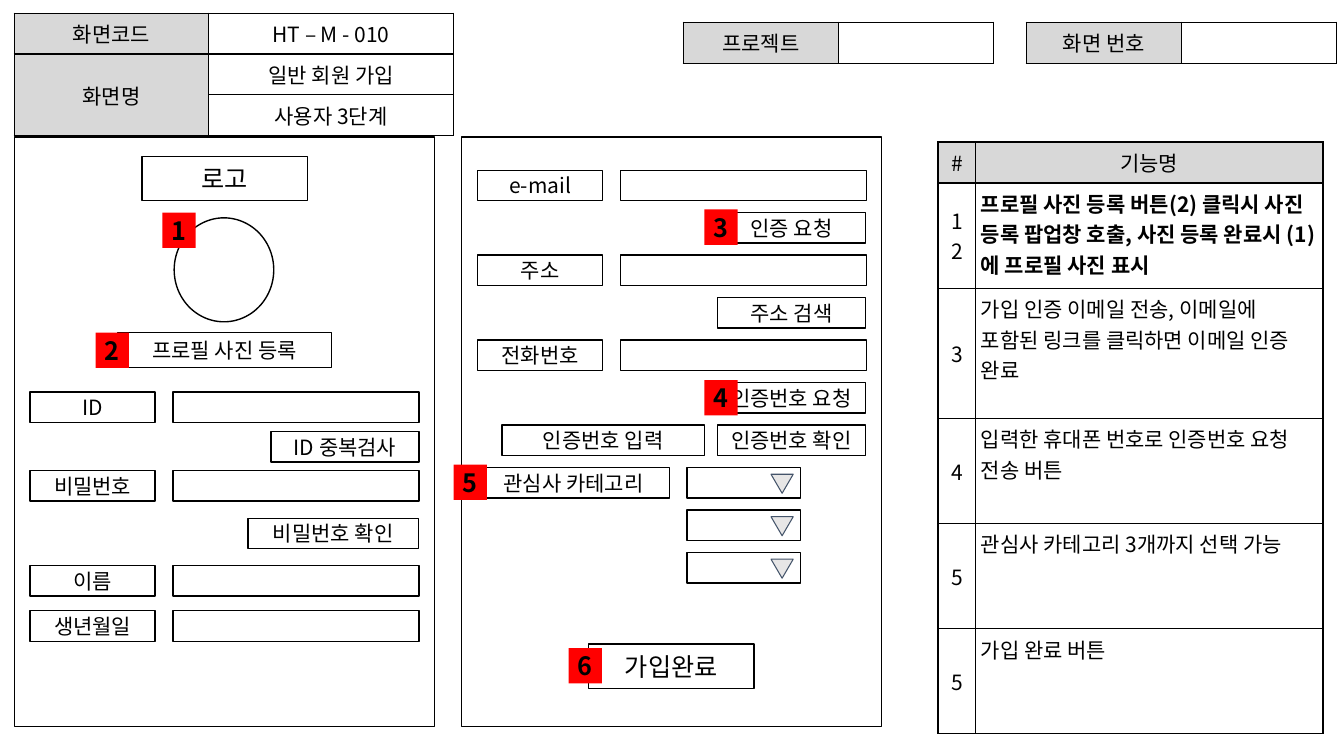
from lxml import etree
from pptx import Presentation
from pptx.dml.color import RGBColor
from pptx.enum import shapes, text
from pptx.oxml import ns
from pptx.util import Cm, Pt

BLACK = RGBColor(0x00, 0x00, 0x00)
WHITE = RGBColor(0xFF, 0xFF, 0xFF)
RED = RGBColor(0xFF, 0x00, 0x00)
HEADER = RGBColor(0xD8, 0xD8, 0xD8)
ARROW_FILL = RGBColor(0xE7, 0xE6, 0xE6)
ARROW_LINE = RGBColor(0x44, 0x54, 0x6A)
FONT = "Noto Sans CJK KR"
INSET = Cm(0.13)
FIELD_H = 0.77  # height of fields and small buttons, in cm
SHAPE = shapes.MSO_SHAPE
CENTER, LEFT = text.PP_ALIGN.CENTER, text.PP_ALIGN.LEFT
MIDDLE, TOP = text.MSO_ANCHOR.MIDDLE, text.MSO_ANCHOR.TOP


def write(tf, content, size=15, bold=False, align=CENTER):
    tf.word_wrap = True
    tf.text = content
    for p in tf.paragraphs:
        p.alignment = align
        p.font.size = Pt(size)
        p.font.bold = bold
        p.font.name = FONT
        p.font.color.rgb = BLACK
        props = p._p.pPr.find(ns.qn("a:defRPr"))
        etree.SubElement(props, ns.qn("a:ea"), typeface=FONT)


def add_box(slide, x, y, w, h=FIELD_H, label="", size=15, bold=False,
            kind=SHAPE.RECTANGLE, fill=WHITE, line=BLACK, weight=1):
    sp = slide.shapes.add_shape(kind, Cm(x), Cm(y), Cm(w), Cm(h))
    sp.shadow.inherit = False
    sp.fill.solid()
    sp.fill.fore_color.rgb = fill
    if line is None:
        sp.line.fill.background()
    else:
        sp.line.color.rgb = line
        sp.line.width = Pt(weight)
    if label:
        tf = sp.text_frame
        tf.margin_left = tf.margin_right = tf.margin_top = tf.margin_bottom = 0
        tf.vertical_anchor = MIDDLE
        write(tf, label, size, bold)
    return sp


def add_field(slide, x, y, label):
    add_box(slide, x, y, 3.15, label=label)
    add_box(slide, x + 3.6, y, 6.2)


def add_dropdown(slide, x, y):
    add_box(slide, x, y, 2.87)
    arrow = add_box(slide, 19.43, y + 0.17, 0.56, 0.48, kind=SHAPE.ISOSCELES_TRIANGLE,
                    fill=ARROW_FILL, line=ARROW_LINE, weight=0.75)
    arrow.rotation = 180


def add_badge(slide, x, y, number):
    add_box(slide, x, y, 0.84, 0.89, number, 18, True, fill=RED, line=None)


def set_borders(cell):
    tc_pr = cell._tc.get_or_add_tcPr()
    for i, side in enumerate(("lnL", "lnR", "lnT", "lnB")):
        ln = etree.Element(ns.qn("a:" + side), w=str(Pt(1)))
        fill = etree.SubElement(ln, ns.qn("a:solidFill"))
        etree.SubElement(fill, ns.qn("a:srgbClr"), val=str(BLACK))
        tc_pr.insert(i, ln)


def format_cell(cell, content, fill, bold=False, align=CENTER, anchor=MIDDLE):
    cell.margin_left = cell.margin_right = INSET
    cell.margin_top = cell.margin_bottom = INSET
    cell.vertical_anchor = anchor
    cell.fill.solid()
    cell.fill.fore_color.rgb = fill
    set_borders(cell)
    if content:
        write(cell.text_frame, content, bold=bold, align=align)


def add_grid(slide, x, y, widths, heights):
    table = slide.shapes.add_table(len(heights), len(widths), Cm(x), Cm(y),
                                   Cm(sum(widths)), Cm(sum(heights))).table
    table.first_row = table.horz_banding = False
    for column, width in zip(table.columns, widths):
        column.width = Cm(width)
    for row, height in zip(table.rows, heights):
        row.height = Cm(height)
    return table


def add_info_table(slide, x, y, widths, rows):
    """Grey label column beside a white value column."""
    table = add_grid(slide, x, y, widths, [1.03] * len(rows))
    for r, (label, value) in enumerate(rows):
        format_cell(table.cell(r, 0), label, HEADER)
        format_cell(table.cell(r, 1), value, WHITE)
    return table


def add_function_table(slide):
    rows = [
        ("1\n2", "프로필 사진 등록 버튼(2) 클릭시 사진 등록 팝업창 호출, 사진 등록 완료시 (1)에 프로필 사진 표시"),
        ("3", "가입 인증 이메일 전송, 이메일에 포함된 링크를 클릭하면 이메일 인증 완료"),
        ("4", "입력한 휴대폰 번호로 인증번호 요청 전송 버튼"),
        ("5", "관심사 카테고리 3개까지 선택 가능"),
        ("5", "가입 완료 버튼"),
    ]
    table = add_grid(slide, 23.64, 3.58, [0.95, 8.75], [1.03, 2.65, 3.28, 2.65, 2.65, 2.65])
    for c, heading in enumerate(("#", "기능명")):
        format_cell(table.cell(0, c), heading, HEADER)
    for r, (number, description) in enumerate(rows, 1):
        format_cell(table.cell(r, 0), number, WHITE)
        format_cell(table.cell(r, 1), description, WHITE, r == 1, LEFT, TOP)


def add_profile_screen(slide):
    add_box(slide, 0.36, 3.45, 10.59, 14.86)
    add_box(slide, 3.58, 3.94, 4.17, 1.12, "로고", 18)
    add_box(slide, 2.97, 8.38, 5.38, 0.89, "프로필 사진 등록")
    add_box(slide, 4.39, 5.49, 2.51, 2.62, kind=SHAPE.OVAL)
    for y, label in ((9.88, "ID"), (11.86, "비밀번호"), (14.25, "이름"), (15.39, "생년월일")):
        add_field(slide, 0.76, y, label)
    add_box(slide, 6.83, 10.87, 3.73, label="ID 중복검사")
    add_box(slide, 6.25, 13.06, 4.3, label="비밀번호 확인")


def add_contact_screen(slide):
    add_box(slide, 11.63, 3.45, 10.59, 14.86)
    line_y = [4.29 + 1.07 * i for i in range(10)]
    for y, label in zip(line_y[0:6:2], ("e-mail", "주소", "전화번호")):
        add_field(slide, 12.04, y, label)
    buttons = ("인증 요청", "주소 검색", "인증번호 요청", "인증번호 확인")
    for i, label in zip((1, 3, 5, 6), buttons):
        add_box(slide, 18.08, line_y[i], 3.73, label=label)
    add_box(slide, 12.65, line_y[6], 5.11, label="인증번호 입력")
    add_box(slide, 12.04, line_y[7], 4.83, label="관심사 카테고리")
    for y in line_y[7:]:
        add_dropdown(slide, 17.31, y)
    add_box(slide, 14.83, 16.23, 4.17, 1.12, "가입완료", 18)


def main():
    prs = Presentation()
    prs.slide_width, prs.slide_height = Cm(33.87), Cm(19.05)
    s = prs.slides.add_slide(prs.slide_layouts[6])

    # Screen information
    names = add_info_table(s, 0.36, 0.33, [4.9, 6.17], [
        ("화면코드", "HT – M - 010"), ("화면명", "일반 회원 가입"), ("", "사용자 3단계")])
    names.cell(1, 0).merge(names.cell(2, 0))
    for x, label in ((17.22, "프로젝트"), (25.86, "화면 번호")):
        add_info_table(s, x, 0.56, [3.91, 3.91], [(label, "")])

    # Screens and function list
    add_profile_screen(s)
    add_contact_screen(s)
    add_function_table(s)

    # Numbered markers
    badges = ((4.09, 5.36), (2.41, 8.38), (17.75, 5.28),
              (17.75, 9.58), (11.43, 11.71), (14.33, 16.33))
    for number, (x, y) in enumerate(badges, 1):
        add_badge(s, x, y, str(number))

    prs.save("out.pptx")


if __name__ == "__main__":
    main()
